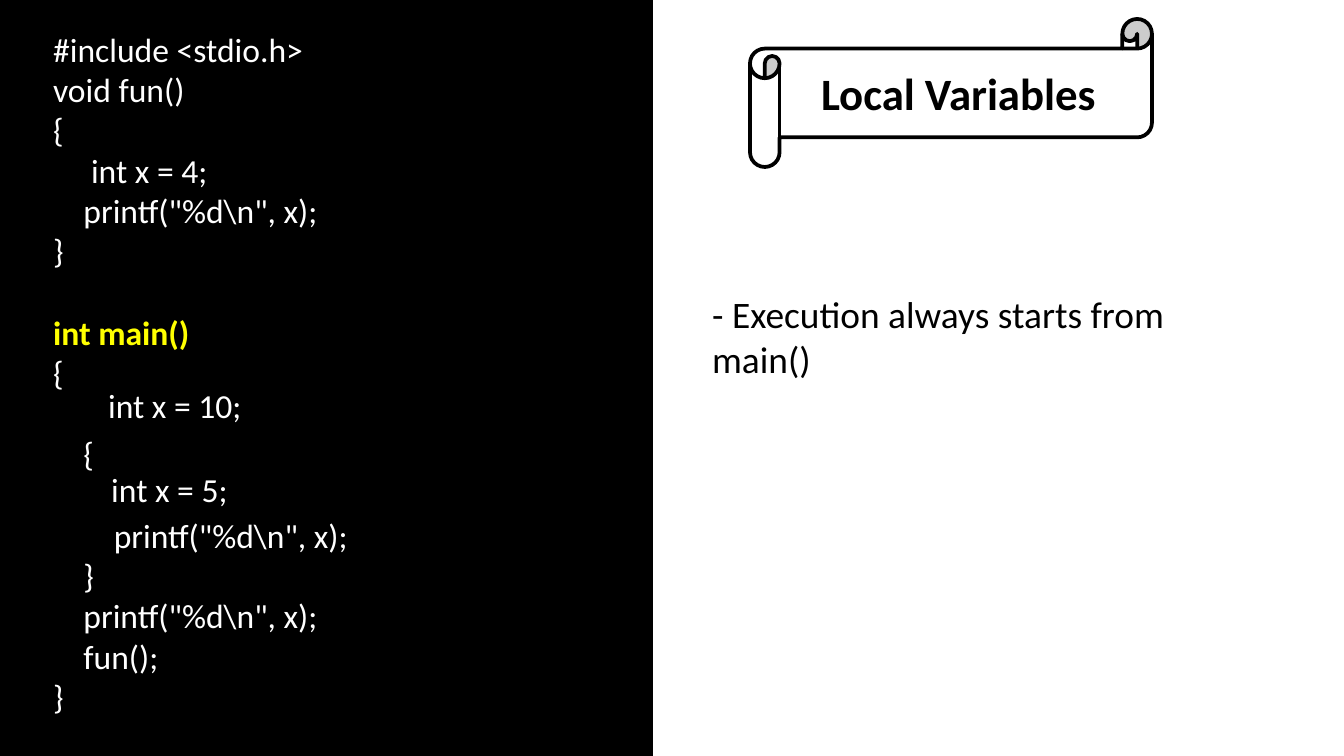
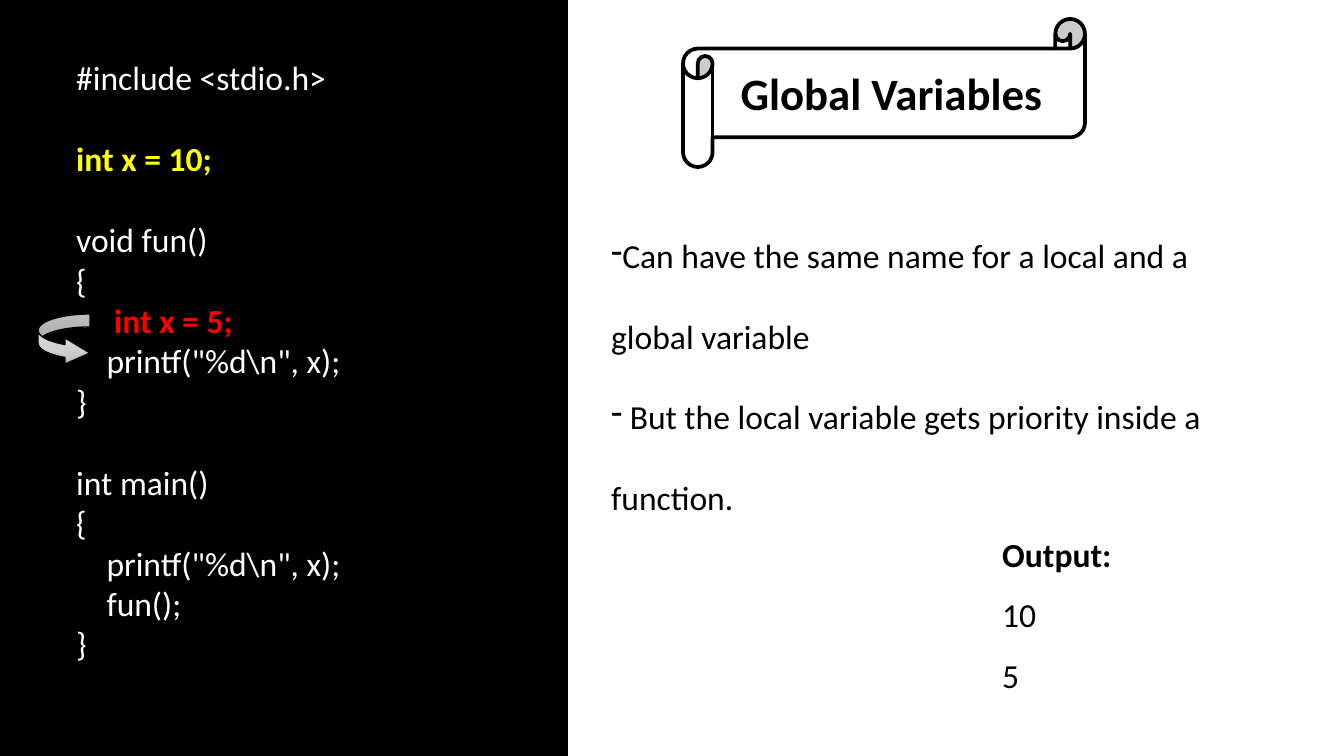
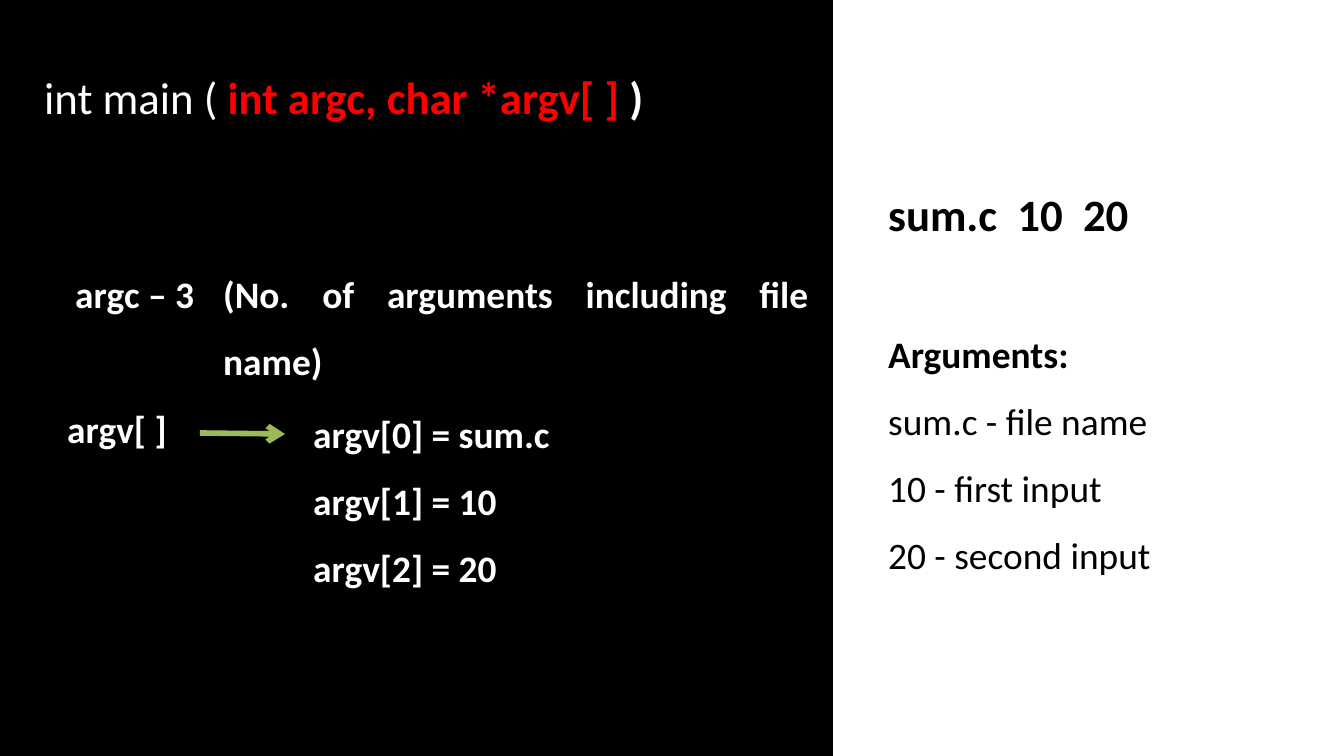
from dataclasses import dataclass

from lxml.etree import SubElement
from pptx import Presentation
from pptx.dml.color import RGBColor
from pptx.enum.shapes import MSO_CONNECTOR, MSO_SHAPE
from pptx.enum.text import MSO_ANCHOR, MSO_AUTO_SIZE, PP_ALIGN
from pptx.oxml.ns import qn
from pptx.util import Emu, Pt

EMU_PER_PX = 914400 / 134.4
PAGE_WIDTH, PAGE_HEIGHT = 1344, 756
FONT = "Calibri"
LINE_FACTOR = 1.22  # line height of the font relative to its size

BLACK = RGBColor(0x00, 0x00, 0x00)
WHITE = RGBColor(0xFF, 0xFF, 0xFF)
YELLOW = RGBColor(0xFF, 0xFF, 0x00)
RED = RGBColor(0xFF, 0x00, 0x00)
GREEN = RGBColor(0x9B, 0xBB, 0x59)
ARROW_SHADES = ((0, "BDBDBD"), (35, "D1D1D1"), (100, "EEEEEE"))


def px(length):
    return Emu(round(length * EMU_PER_PX))


@dataclass
class Line:
    """One paragraph; spans are (text, colour, bold) and replace its text."""
    text: str = ""
    color: RGBColor = BLACK
    bold: bool = False
    size: int = 18
    before: float = 0
    indent: int = 0
    bullet: str = ""
    spans: tuple = ()


class Deck:
    def __init__(self):
        self.presentation = Presentation()
        self.presentation.slide_width = px(PAGE_WIDTH)
        self.presentation.slide_height = px(PAGE_HEIGHT)
        self.page = None

    def new_page(self, panel_left, panel_width):
        """Start a white page with a black panel on its left side."""
        self.page = self.presentation.slides.add_slide(self.presentation.slide_layouts[6])
        self.shape(MSO_SHAPE.RECTANGLE, panel_left, 0, panel_width, PAGE_HEIGHT, BLACK)

    def shape(self, kind, left, top, width, height, color, line_width=2):
        shape = self.page.shapes.add_shape(kind, px(left), px(top), px(width), px(height))
        shape.shadow.inherit = False
        shape.fill.solid()
        shape.fill.fore_color.rgb = color
        shape.line.color.rgb = BLACK
        shape.line.width = Pt(line_width)
        return shape

    def add_lines(self, frame, lines, spacing=None, align=PP_ALIGN.LEFT):
        frame.word_wrap = True
        for number, line in enumerate(lines):
            para = frame.add_paragraph() if number else frame.paragraphs[0]
            para.alignment = align
            if spacing:
                para.line_spacing = spacing
            if line.before:
                para.space_before = Pt(line.before)
            properties = para._p.get_or_add_pPr()
            properties.set("marL", str(px(line.indent)))
            properties.set("indent", "0")
            if line.bullet:
                SubElement(properties, qn("a:buChar")).set("char", line.bullet)
            para.font.name = FONT
            para.font.size = Pt(line.size)
            if not line.spans:
                para.font.bold = line.bold
                para.font.color.rgb = line.color
                para.add_run().text = line.text
            for text, color, bold in line.spans:
                span = para.add_run()
                span.text = text
                span.font.color.rgb = color
                span.font.bold = bold

    def text(self, left, top, width, height, lines, **style):
        box = self.page.shapes.add_textbox(px(left), px(top), px(width), px(height))
        self.add_lines(box.text_frame, lines, **style)
        box.text_frame.auto_size = MSO_AUTO_SIZE.SHAPE_TO_FIT_TEXT

    def code(self, left, top, width, height, source, highlights=None):
        """White code; an empty source line becomes space before the next one."""
        highlights = highlights or {}
        lines, gap = [], 0
        for row in source.strip("\n").split("\n"):
            if not row:
                gap += 18 * LINE_FACTOR
                continue
            color = highlights.get(row.strip(), WHITE)
            lines.append(Line(row, color, bold=color != WHITE, before=gap))
            gap = 0
        self.text(left, top, width, height, lines)

    def scroll_title(self, left, title):
        scroll = self.shape(MSO_SHAPE.HORIZONTAL_SCROLL, left, 19, 402, 148, WHITE)
        scroll.adjustments[0] = 0.2
        scroll.text_frame.vertical_anchor = MSO_ANCHOR.MIDDLE
        self.add_lines(scroll.text_frame, [Line(title, bold=True, size=24)],
                       align=PP_ALIGN.CENTER)

    def curved_arrow(self, left, top, size):
        arrow = self.shape(MSO_SHAPE.CURVED_RIGHT_ARROW, left, top, size, size, WHITE, 0.75)
        arrow.adjustments[2] = 0.48
        arrow.fill.gradient()
        gradient = arrow._element.spPr.find(qn("a:gradFill"))
        for child in list(gradient):
            gradient.remove(child)
        stops = SubElement(gradient, qn("a:gsLst"))
        for position, shade in ARROW_SHADES:
            stop = SubElement(stops, qn("a:gs"), pos=str(position * 1000))
            SubElement(stop, qn("a:srgbClr"), val=shade)
        SubElement(gradient, qn("a:lin"), ang=str(270 * 60000), scaled="0")

    def straight_arrow(self, start_x, start_y, end_x, end_y):
        arrow = self.page.shapes.add_connector(
            MSO_CONNECTOR.STRAIGHT, px(start_x), px(start_y), px(end_x), px(end_y))
        arrow.line.color.rgb = GREEN
        arrow.line.width = Pt(3)
        properties = arrow._element.spPr
        SubElement(properties.find(qn("a:ln")), qn("a:tailEnd"), type="arrow")
        SubElement(properties, qn("a:effectLst"))


LOCAL_CODE = r"""
#include <stdio.h>
void fun()
{
     int x = 4;
    printf("%d\n", x);
}

int main()
{

    {

        printf("%d\n", x);
    }
    printf("%d\n", x);
    fun();
}
"""

GLOBAL_CODE = r"""
#include <stdio.h>

int x = 10;

void fun()
{
     int x = 5;
    printf("%d\n", x);
}

int main()
{
    printf("%d\n", x);
    fun();
}
"""


def local_variables(deck):
    deck.new_page(0, 651)
    deck.code(40, 22, 461, 706, LOCAL_CODE, {"int main()": YELLOW})
    deck.code(95, 378, 160, 54, "int x = 10;")
    deck.code(98, 462, 150, 54, "int x = 5;")
    deck.text(699, 285, 570, 59, [Line("- Execution always starts from main()", size=20)])
    deck.scroll_title(750, "Local Variables")


def global_variables(deck):
    deck.new_page(0, 566)
    deck.code(63, 50, 461, 624, GLOBAL_CODE, {"int x = 10;": YELLOW, "int x = 5;": RED})
    deck.scroll_title(683, "Global Variables")
    deck.text(598, 188, 688, 339, [
        Line("Can have the same name for a local and a global variable", bullet="-"),
        Line(" But the local variable gets priority inside a function.", bullet="-"),
    ], spacing=2.0)
    deck.curved_arrow(38, 314, 52)
    deck.text(989, 507, 145, 196, [Line("Output:", bold=True), Line("10"), Line("5")],
              spacing=1.5)


def command_line_arguments(deck):
    blank_line = 20 * LINE_FACTOR * 1.5
    justified = {"spacing": 1.5, "align": PP_ALIGN.JUSTIFY}

    deck.new_page(-9, 840)
    deck.text(31, 63, 646, 67, [Line(size=24, spans=(
        ("int main ( ", WHITE, False),
        ("int argc, char *argv[ ] ", RED, True),
        (")", WHITE, True),
    ))])
    deck.text(20, 242, 828, 216, [
        Line("argc – 3", WHITE, True, 20, indent=42),
        Line("argv[ ]", WHITE, True, 20, before=blank_line, indent=34),
    ], **justified)
    deck.text(875, 153, 410, 434, [
        Line("sum.c  10  20", bold=True, size=24),
        Line("Arguments:", bold=True, size=20, before=blank_line),
        Line("sum.c - file name", size=20),
        Line("10 - first input", size=20),
        Line("20 - second input", size=20),
    ], spacing=1.5)
    deck.straight_arrow(200, 433, 285, 434)
    deck.text(210, 242, 612, 81, [
        Line("(No. of arguments including file name)", WHITE, True, 20)], **justified)
    deck.text(300, 382, 266, 216, [
        Line(f"argv[{index}] = {value}", WHITE, True, 20)
        for index, value in enumerate(("sum.c", 10, 20))], **justified)


def main():
    deck = Deck()
    local_variables(deck)
    global_variables(deck)
    command_line_arguments(deck)
    deck.presentation.save("out.pptx")


if __name__ == "__main__":
    main()
